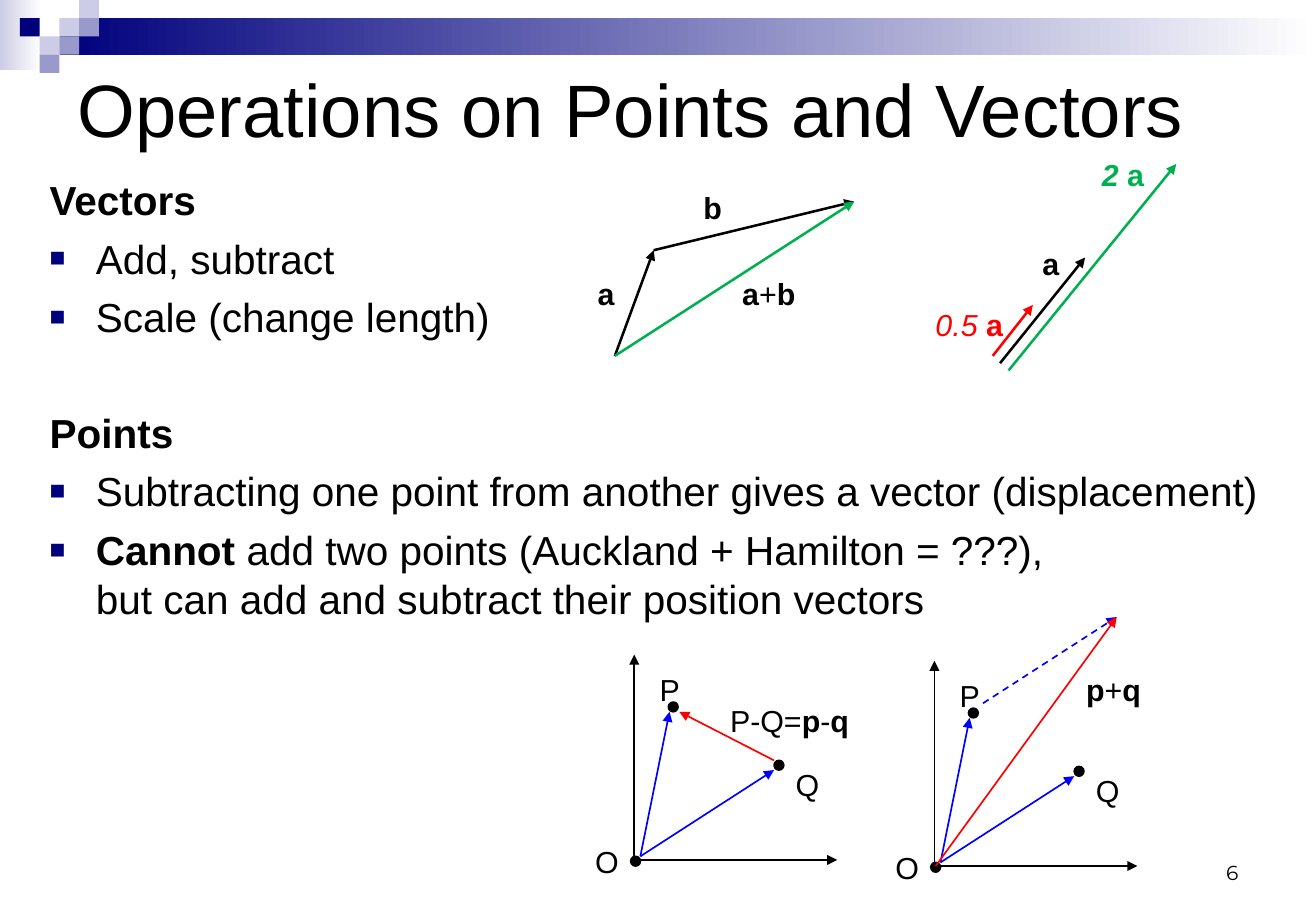
from lxml import etree
from pptx import Presentation
from pptx.dml.color import RGBColor
from pptx.enum.dml import MSO_LINE
from pptx.enum.shapes import MSO_CONNECTOR, MSO_SHAPE
from pptx.enum.text import MSO_ANCHOR as ANCHOR, PP_ALIGN as ALIGN
from pptx.oxml.ns import qn
from pptx.util import Inches, Pt

COLS, ROWS = 108.3, 75
TILE_W, TILE_H = 1.63, 1.5
BLACK, WHITE, NAVY = "000000", "FFFFFF", "00007D"
LILAC, VIOLET = "CCCCE6", "9999CC"
RED, GREEN, BLUE = "FF0000", "00B050", "0000FF"

TILES = [(3, 1, LILAC), (4, 0, LILAC), (4, 1, VIOLET), (2, 2, LILAC),
         (1, 1, NAVY), (3, 2, VIOLET), (2, 3, VIOLET)]

BODY = [
    (False, 2, [("Vectors", "b")]),
    (True, 6, [("Add, subtract", "")]),
    (True, 6, [("Scale (change length)", "")]),
    (False, 39.6, [("Points", "b")]),
    (True, 6, [("Subtracting one point from another gives a vector (displacement)", "")]),
    (True, 6, [("Cannot", "b"),
               (" add two points (Auckland + Hamilton = ???),\n"
                "but can add and subtract their position vectors", "")]),
]


def grid(*cells):
    return [Inches(c / 10) for c in cells]


def rgb(color):
    return RGBColor.from_string(color)


def add_text(p, text, size=18, color=BLACK, font="Arial", style=""):
    for i, line in enumerate(text.split("\n")):
        if i:
            p.add_line_break()
        r = p.add_run()
        r.text = line
        r.font.size, r.font.name = Pt(size), font
        r.font.bold, r.font.italic = "b" in style, "i" in style
        r.font.color.rgb = rgb(color)


def add_box(s, x, y, w, h, anchor=ANCHOR.TOP):
    tf = s.shapes.add_textbox(*grid(x, y, w, h)).text_frame
    tf.word_wrap = True
    tf.vertical_anchor = anchor
    return tf


def add_label(s, x, y, w, runs, color=BLACK):
    p = add_box(s, x, y, w, 4).paragraphs[0]
    for text, style in runs:
        add_text(p, text, color=color, style=style)


def add_block(s, kind, x, y, w, h, color, fade=None):
    sp = s.shapes.add_shape(kind, *grid(x, y, w, h))
    sp.shadow.inherit = False
    sp.line.fill.background()
    if fade:
        sp.fill.gradient()
        sp.fill.gradient_angle = 0
        for stop, tone in zip(sp.fill.gradient_stops, (color, fade)):
            stop.color.rgb = rgb(tone)
    else:
        sp.fill.solid()
        sp.fill.fore_color.rgb = rgb(color)
    return sp


def add_arrow(s, start, end, color=BLACK, width=1, dashed=False):
    c = s.shapes.add_connector(MSO_CONNECTOR.STRAIGHT, *grid(*start, *end))
    c.line.color.rgb = rgb(color)
    c.line.width = Pt(width)
    if dashed:
        c.line.dash_style = MSO_LINE.DASH
    etree.SubElement(c.line._get_or_add_ln(), qn("a:tailEnd"), type="triangle")
    etree.SubElement(c._element.spPr, qn("a:effectLst"))


def add_bullet(p):
    pPr = p._p.get_or_add_pPr()
    color = etree.SubElement(pPr, qn("a:buClr"))
    etree.SubElement(color, qn("a:srgbClr"), val=NAVY)
    etree.SubElement(pPr, qn("a:buSzPct"), val="65000")
    etree.SubElement(pPr, qn("a:buFont"), typeface="Arial")
    etree.SubElement(pPr, qn("a:buChar"), char="■")


def add_header(s):
    rect = MSO_SHAPE.RECTANGLE
    add_block(s, rect, 0, 0, 3.4, 5.8, LILAC, fade=WHITE)
    add_block(s, rect, 4.9, 1.5, COLS - 4.9, 3, NAVY, fade=WHITE)
    for col, row, color in TILES:
        add_block(s, rect, col * TILE_W, row * TILE_H, TILE_W, TILE_H, color)


def add_body(s):
    tf = add_box(s, 3.1, 13.9, 102.1, 56.2)
    for i, (bullet, gap, runs) in enumerate(BODY):
        p = tf.add_paragraph() if i else tf.paragraphs[0]
        p.space_before = Pt(gap)
        if bullet:
            pPr = p._p.get_or_add_pPr()
            pPr.set("marL", str(Inches(0.38)))
            pPr.set("indent", str(-Inches(0.38)))
            add_bullet(p)
        for text, style in runs:
            add_text(p, text, size=24, style=style)


def add_vector_sum(s):
    start, middle, end = (50.6, 29.3), (53.8, 20.6), (70.3, 16.6)
    add_arrow(s, start, middle, width=1.5)
    add_arrow(s, middle, end, width=1.5)
    add_arrow(s, start, end, GREEN, 1.5)
    add_label(s, 48.2, 22.2, 3.9, [("a", "b")])
    add_label(s, 56.9, 15.1, 3.9, [("b", "b")])
    add_label(s, 60.1, 22.2, 7.9, [("a", "b"), ("+", ""), ("b", "b")])


def add_scaled_vectors(s):
    add_arrow(s, (82.3, 29.9), (89.3, 21.2), BLACK, 1.5)
    add_arrow(s, (83, 30.5), (96.8, 13.5), GREEN, 1.5)
    add_arrow(s, (81.7, 29.3), (85, 25.1), RED, 1.5)
    add_label(s, 76, 24.7, 8.5, [("0.5 ", "i"), ("a", "b")], RED)
    add_label(s, 84.8, 19.7, 3.9, [("a", "b")])
    add_label(s, 89.7, 12.4, 6.4, [("2", "bi"), (" a", "b")], GREEN)


def add_point_axes(s, x, y):
    for dx, dy in [(0, 0), (3.1, -12.7), (11.8, -7.9)]:
        dot = add_block(s, MSO_SHAPE.OVAL, x + dx - 0.4, y + dy - 0.4, 0.8, 0.8, BLACK)
        dot.line.color.rgb = rgb(BLACK)
        dot.line.width = Pt(1)
    for name, dx, dy in [("O", -4.3, -2), ("P", 1, -16.1), ("Q", 12.2, -8.3)]:
        add_label(s, x + dx, y + dy, 4, [(name, "")])
    add_arrow(s, (x - 0.1, y - 0.4), (x - 0.1, y - 17))
    add_arrow(s, (x, y - 0.1), (x + 16.6, y - 0.1))
    for dx, dy in [(2.8, -12.3), (11.4, -7.5)]:
        add_arrow(s, (x + 0.4, y - 0.4), (x + dx, y + dy), BLUE)


def add_point_difference(s):
    add_point_axes(s, 52.3, 70.9)
    add_arrow(s, (63.7, 62.6), (55.9, 58.6), RED)
    add_label(s, 59.1, 57.3, 12.3, [("P-Q=", ""), ("p", "b"), ("-", ""), ("q", "b")])


def add_position_sum(s):
    add_point_axes(s, 77, 71.4)
    add_label(s, 88.4, 54.8, 7.3, [("p", "b"), ("+", ""), ("q", "b")])
    add_arrow(s, (80.9, 57.9), (91.9, 50.8), BLUE, dashed=True)
    add_arrow(s, (77, 71.3), (91.9, 50.8), RED)


def main():
    prs = Presentation()
    prs.slide_width, prs.slide_height = grid(COLS, ROWS)
    s = prs.slides.add_slide(prs.slide_layouts[6])
    add_header(s)
    title = add_box(s, 5.4, 5, 97.5, 7.8, ANCHOR.MIDDLE)
    add_text(title.paragraphs[0], "Operations on Points and Vectors", size=44)
    add_body(s)
    number = add_box(s, 77.6, 68.3, 25.3, 5, ANCHOR.BOTTOM).paragraphs[0]
    number.alignment = ALIGN.RIGHT
    add_text(number, "6", size=12, font="Montserrat")
    add_vector_sum(s)
    add_scaled_vectors(s)
    add_point_difference(s)
    add_position_sum(s)
    prs.save("out.pptx")


if __name__ == "__main__":
    main()
